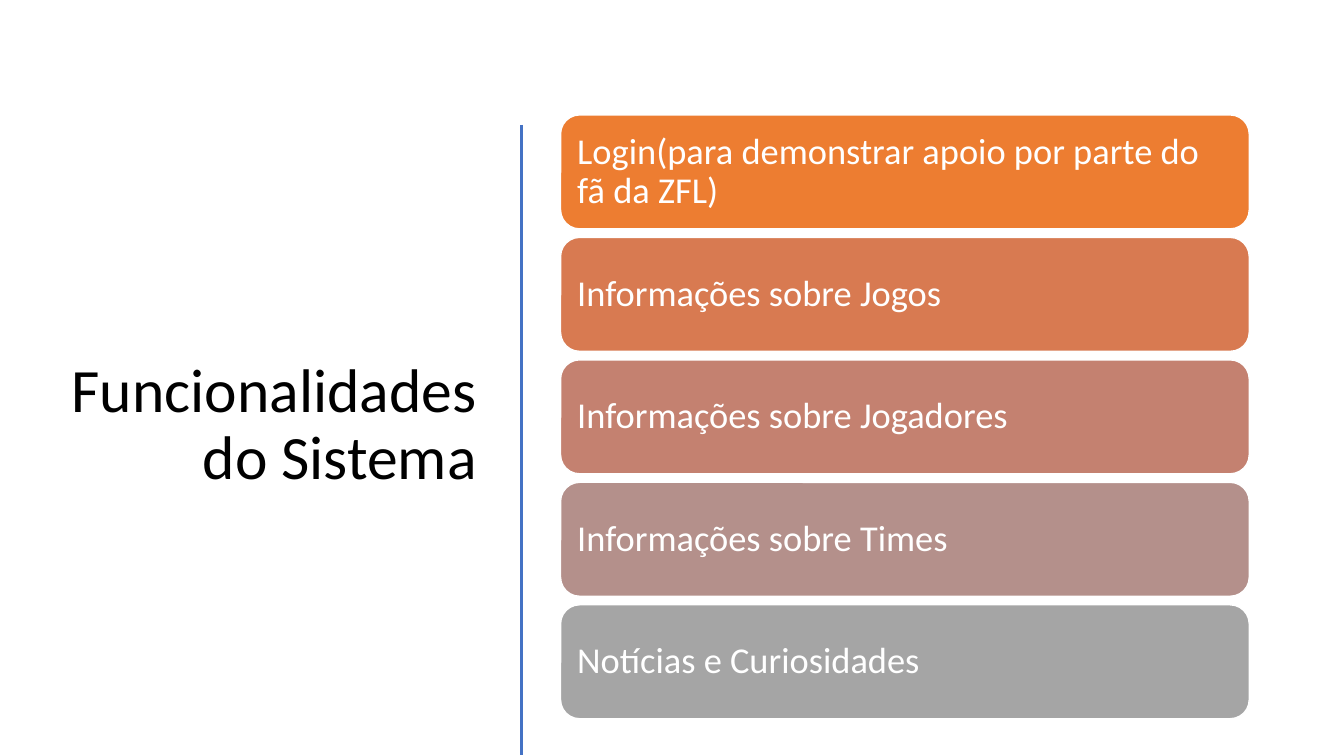
from dataclasses import dataclass

from lxml import etree
from pptx import Presentation
from pptx.dml.color import RGBColor
from pptx.enum.shapes import MSO_CONNECTOR, MSO_SHAPE
from pptx.enum.text import MSO_ANCHOR, PP_ALIGN
from pptx.oxml.ns import qn
from pptx.slide import Slide
from pptx.text.text import TextFrame
from pptx.util import Inches, Pt

ROUNDED = MSO_SHAPE.ROUNDED_RECTANGLE
STRAIGHT = MSO_CONNECTOR.STRAIGHT
MIDDLE = MSO_ANCHOR.MIDDLE
LEFT, RIGHT = PP_ALIGN.LEFT, PP_ALIGN.RIGHT

SLIDE_WIDTH, SLIDE_HEIGHT = Inches(13.33), Inches(7.5)
FONT = "Calibri"
COLORS = {
    "title": "000000",
    "label": "FFFFFF",
    "border": "FFFFFF",
    "divider": "4472C4",
    "login": "ED7D31",
    "games": "D87A51",
    "players": "C48170",
    "teams": "B4908B",
    "news": "A5A5A5",
}


@dataclass(frozen=True)
class Area:
    left: float
    top: float
    width: float
    height: float


@dataclass(frozen=True)
class Feature:
    label: str
    color: str


TITLE_AREA = Area(3.9, 15.6, 32.33, 81.47)
DIVIDER_AREA = Area(38.78, 16.53, 0, 83.34)
FIRST_FEATURE_AREA = Area(41.71, 15.2, 51.24, 15.07)
FEATURE_PITCH = 16.2

FEATURES = [
    Feature("Login(para demonstrar apoio por parte do fã da ZFL)", "login"),
    Feature("Informações sobre Jogos", "games"),
    Feature("Informações sobre Jogadores", "players"),
    Feature("Informações sobre Times", "teams"),
    Feature("Notícias e Curiosidades", "news"),
]


def rgb(name: str) -> RGBColor:
    return RGBColor.from_string(COLORS[name])


def across(percent: float) -> int:
    return round(SLIDE_WIDTH * percent / 100)


def down(percent: float) -> int:
    return round(SLIDE_HEIGHT * percent / 100)


def bounds(area: Area) -> tuple[int, int, int, int]:
    return across(area.left), down(area.top), across(area.width), down(area.height)


def write(frame: TextFrame, text: str, size: int, color: str, align: PP_ALIGN) -> None:
    frame.word_wrap = True
    frame.vertical_anchor = MIDDLE
    frame.text = text
    paragraph = frame.paragraphs[0]
    paragraph.alignment = align
    paragraph.line_spacing = 0.9
    font = paragraph.runs[0].font
    font.name = FONT
    font.size = Pt(size)
    font.color.rgb = rgb(color)


def draw_title(slide: Slide) -> None:
    title = slide.shapes.add_textbox(*bounds(TITLE_AREA))
    write(title.text_frame, "Funcionalidades do Sistema", 44, "title", RIGHT)


def draw_divider(slide: Slide) -> None:
    left, top, width, height = bounds(DIVIDER_AREA)
    divider = slide.shapes.add_connector(STRAIGHT, left, top, left + width, top + height)
    divider.line.color.rgb = rgb("divider")
    divider.line.width = Pt(2)
    etree.SubElement(divider._element.spPr, qn("a:effectLst"))


def draw_feature(slide: Slide, feature: Feature, row: int) -> None:
    first = FIRST_FEATURE_AREA
    area = Area(first.left, first.top + row * FEATURE_PITCH, first.width, first.height)
    card = slide.shapes.add_shape(ROUNDED, *bounds(area))
    card.shadow.inherit = False
    card.fill.solid()
    card.fill.fore_color.rgb = rgb(feature.color)
    card.line.color.rgb = rgb("border")
    card.line.width = Pt(1)
    frame = card.text_frame
    frame.margin_left = frame.margin_right = Inches(0.11)
    frame.margin_top = frame.margin_bottom = Inches(0.11)
    write(frame, feature.label, 26, "label", LEFT)


def main() -> None:
    deck = Presentation()
    deck.slide_width, deck.slide_height = SLIDE_WIDTH, SLIDE_HEIGHT
    slide = deck.slides.add_slide(deck.slide_layouts[6])
    draw_title(slide)
    draw_divider(slide)
    for row, feature in enumerate(FEATURES):
        draw_feature(slide, feature, row)
    deck.save("out.pptx")


if __name__ == "__main__":
    main()
